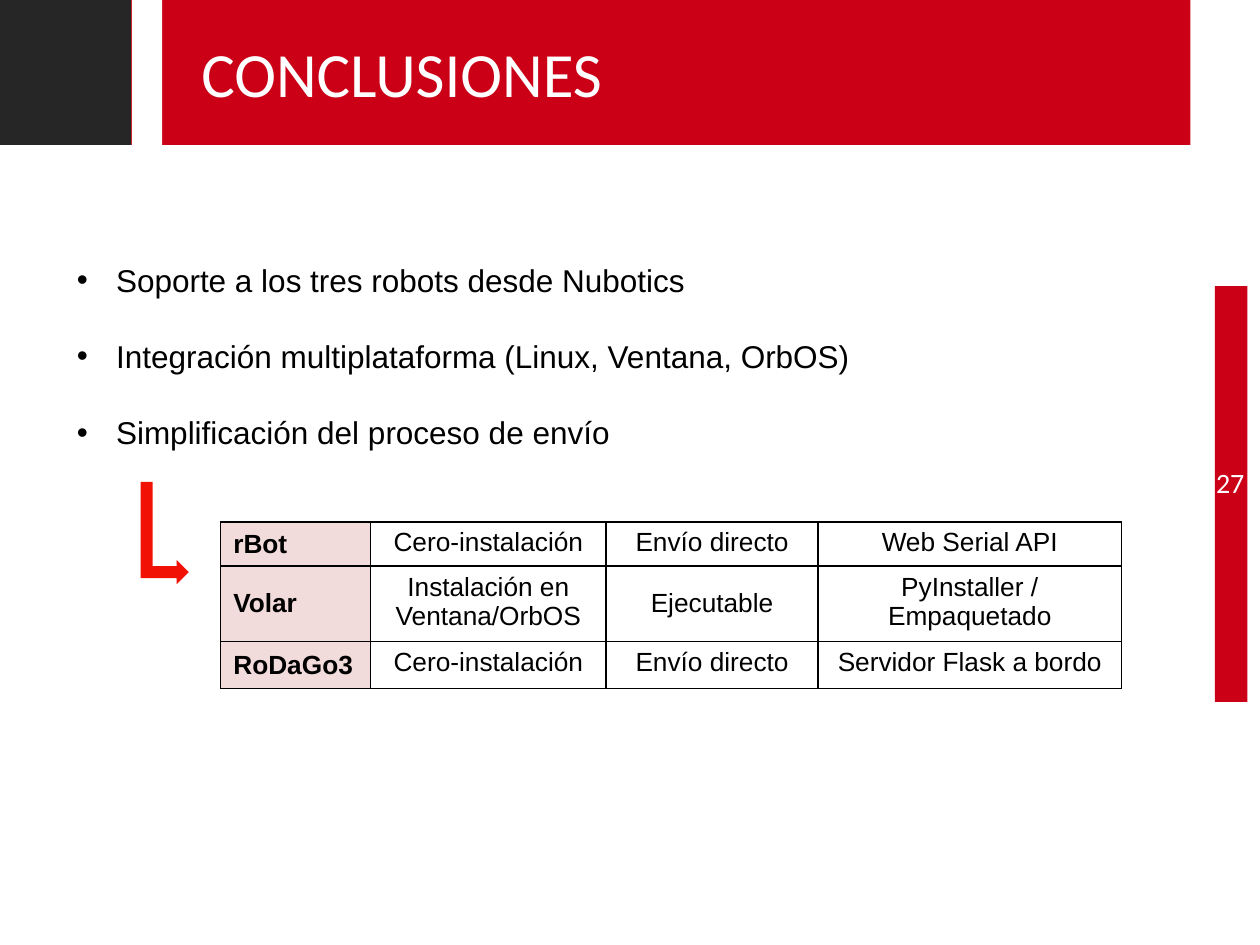
import dataclasses
import typing

import lxml.etree
import pptx
import pptx.dml.color
import pptx.enum.shapes
import pptx.enum.text
import pptx.oxml.ns
import pptx.util

Cm = pptx.util.Cm
Pt = pptx.util.Pt
Kind = pptx.enum.shapes.MSO_SHAPE
Align = pptx.enum.text.PP_ALIGN
Anchor = pptx.enum.text.MSO_ANCHOR
qn = pptx.oxml.ns.qn


@dataclasses.dataclass(frozen=True)
class Theme:
    red: str = "CB0017"
    dark: str = "262626"
    white: str = "FFFFFF"
    black: str = "000000"
    arrow: str = "F21205"
    pink: str = "F2DCDB"
    head: str = "Calibri"
    body: str = "Arial"
    title: int = 36
    item: int = 18
    page: int = 16
    cell: int = 15
    gap: int = 22


class Box(typing.NamedTuple):
    left: float
    top: float
    width: float
    height: float

    def cm(self) -> list:
        return [Cm(side) for side in self]


class Block(typing.NamedTuple):
    box: Box
    fill: str
    kind: Kind = Kind.RECTANGLE
    turn: int = 0


class Font(typing.NamedTuple):
    face: str
    size: int
    color: str
    bold: bool = False


class Row(typing.NamedTuple):
    height: float
    cells: tuple


THEME = Theme()
BLOCKS = (
    Block(Box(24.49, 5.77, 0.66, 8.38), THEME.red),
    Block(Box(2.03, 0, 21.97, 2.92), THEME.red),
    Block(Box(0, 0, 2.64, 2.92), THEME.dark),
    Block(Box(2.66, 0, 0.61, 2.92), THEME.white),
    Block(Box(2.29, 10.26, 2.06, 0.97), THEME.arrow, Kind.BENT_UP_ARROW, 90),
)
ITEMS = (
    "Soporte a los tres robots desde Nubotics",
    "Integración multiplataforma (Linux, Ventana, OrbOS)",
    "Simplificación del proceso de envío",
)
COLS = (3.02, 4.75, 4.27, 6.12)
ROWS = (
    Row(0.84, ("rBot", "Cero-instalación", "Envío directo", "Web Serial API")),
    Row(1.52, ("Volar", "Instalación en Ventana/OrbOS", "Ejecutable",
               "PyInstaller / Empaquetado")),
    Row(0.94, ("RoDaGo3", "Cero-instalación", "Envío directo",
               "Servidor Flask a bordo")),
)


def rgb(code: str) -> pptx.dml.color.RGBColor:
    return pptx.dml.color.RGBColor.from_string(code)


def write(para, text: str, font: Font, align: Align = Align.LEFT) -> None:
    para.alignment = align
    run = para.add_run()
    run.text = text
    run.font.name = font.face
    run.font.size = Pt(font.size)
    run.font.bold = font.bold
    run.font.color.rgb = rgb(font.color)


def draw(slide, block: Block) -> None:
    shape = slide.shapes.add_shape(block.kind, *block.box.cm())
    shape.rotation = block.turn
    shape.shadow.inherit = False
    shape.fill.solid()
    shape.fill.fore_color.rgb = rgb(block.fill)
    shape.line.fill.background()


def frame(slide, box: Box, anchor: Anchor = Anchor.TOP):
    """Add a wrapping text box and return its text frame."""
    text = slide.shapes.add_textbox(*box.cm()).text_frame
    text.word_wrap = True
    text.vertical_anchor = anchor
    return text


def bullet(para) -> None:
    props = para._p.get_or_add_pPr()
    props.set("marL", str(Cm(0.79)))
    props.set("indent", str(Cm(-0.79)))
    lxml.etree.SubElement(props, qn("a:buFont"), typeface=THEME.body)
    lxml.etree.SubElement(props, qn("a:buChar"), char="•")


def points(slide, box: Box, font: Font) -> None:
    text = frame(slide, box)
    for place, item in enumerate(ITEMS):
        para = text.add_paragraph() if place else text.paragraphs[0]
        if place:
            para.space_before = Pt(THEME.gap)
        bullet(para)
        write(para, item, font)


def border(cell) -> None:
    """Rule all four sides; the lines must precede the cell fill."""
    props = cell._tc.get_or_add_tcPr()
    for place, side in enumerate(("lnL", "lnR", "lnT", "lnB")):
        line = lxml.etree.Element(qn("a:" + side), w=str(Pt(1)))
        fill = lxml.etree.SubElement(line, qn("a:solidFill"))
        lxml.etree.SubElement(fill, qn("a:srgbClr"), val=THEME.black)
        props.insert(place, line)


def grid(slide, left: float, top: float) -> None:
    box = Box(left, top, sum(COLS), sum(row.height for row in ROWS))
    table = slide.shapes.add_table(len(ROWS), len(COLS), *box.cm()).table
    table.first_row = table.horz_banding = False
    for col, width in zip(table.columns, COLS):
        col.width = Cm(width)
    for y, row in enumerate(ROWS):
        table.rows[y].height = Cm(row.height)
        for x, text in enumerate(row.cells):
            cell = table.cell(y, x)
            name = x == 0
            if name:
                cell.fill.solid()
                cell.fill.fore_color.rgb = rgb(THEME.pink)
            else:
                cell.fill.background()
            if name or text == "Ejecutable":
                cell.vertical_anchor = Anchor.MIDDLE
            border(cell)
            font = Font(THEME.body, THEME.cell, THEME.black, name)
            write(cell.text_frame.paragraphs[0], text, font,
                  Align.LEFT if name else Align.CENTER)


def main() -> None:
    deck = pptx.Presentation()
    deck.slide_width, deck.slide_height = Cm(25.4), Cm(19.05)
    slide = deck.slides.add_slide(deck.slide_layouts[6])
    for block in BLOCKS:
        draw(slide, block)
    title = frame(slide, Box(3.81, 0.58, 13.49, 1.8))
    write(title.paragraphs[0], "CONCLUSIONES",
          Font(THEME.head, THEME.title, THEME.white))
    points(slide, Box(1.3, 5.13, 21.11, 4.11),
           Font(THEME.body, THEME.item, THEME.black))
    grid(slide, 4.45, 10.52)
    page = frame(slide, Box(24.2, 9.22, 1.2, 1.02), Anchor.MIDDLE)
    write(page.paragraphs[0], "27",
          Font(THEME.head, THEME.page, THEME.white), Align.CENTER)
    deck.save("out.pptx")


if __name__ == "__main__":
    main()
